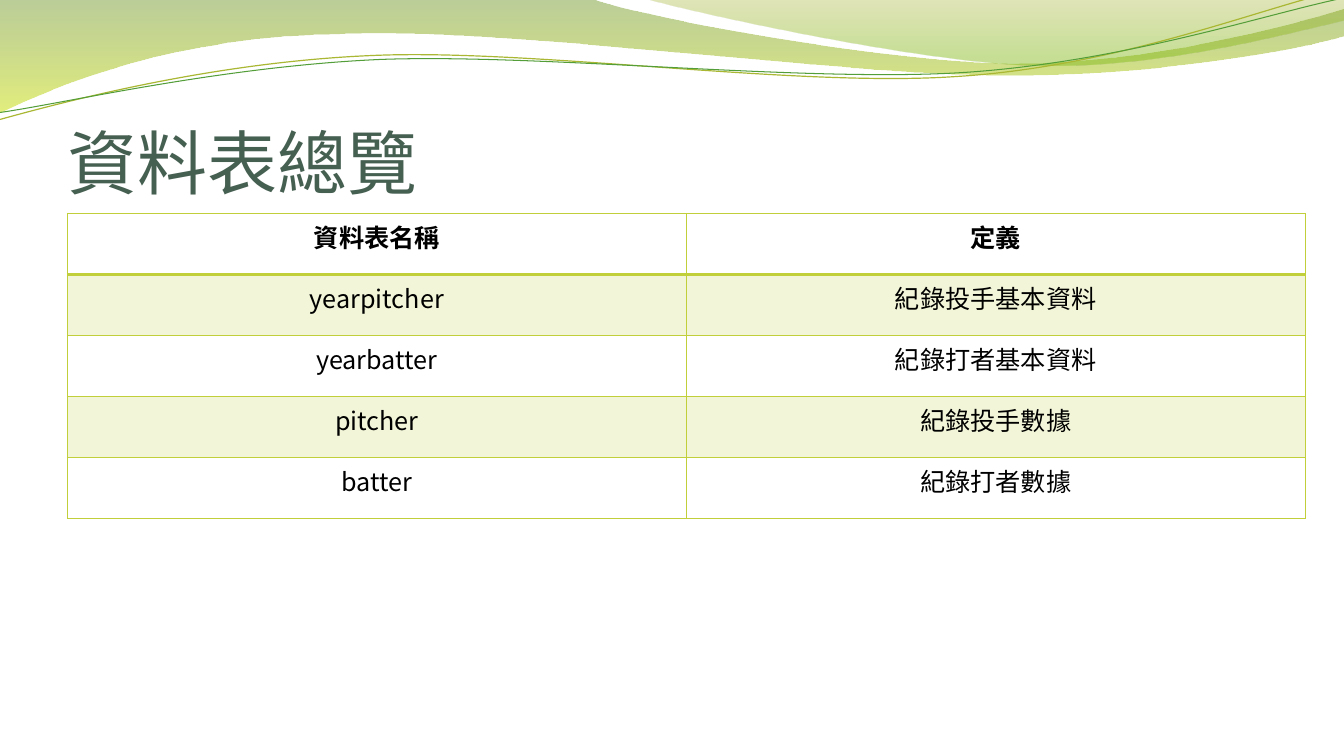
"""Build the table overview slide with its green wave header."""
import dataclasses
import math

import lxml.etree
import pptx
import pptx.dml.color
import pptx.enum.text
import pptx.oxml.ns
import pptx.util

Cm = pptx.util.Cm
Pt = pptx.util.Pt
qn = pptx.oxml.ns.qn

TITLE = "資料表總覽"
ROWS = [
    ("資料表名稱", "定義"),
    ("yearpitcher", "紀錄投手基本資料"),
    ("yearbatter", "紀錄打者基本資料"),
    ("pitcher", "紀錄投手數據"),
    ("batter", "紀錄打者數據"),
]


@dataclasses.dataclass(frozen=True)
class Theme:
    font: str = "Noto Sans CJK SC"
    title_size: int = 50
    table_size: int = 18
    title: str = "455F51"
    text: str = "000000"
    accent: str = "C0CF3A"
    band_opacity: int = 20
    left_wave: tuple = ((0, "69921C", 45), (1, "CCE10F", 55))
    right_wave: tuple = ((0, "9BAA1A", 30), (0.8, "81BA16", 45))
    olive_line: tuple = ("A9B733", 0.85)
    green_line: tuple = ("549E39", 0.75)


THEME = Theme()

WAVES = [
    (THEME.left_wave, [
        (0, 0), (14.91, -0.03),
        (16.1, 0.43, 22.45, 1.6, 25.68, 1.6),
        (28.88, 1.6, 32.44, 0.66, 33.86, 0.23),
        (33.88, 0.91),
        (33.3, 1.12, 29.44, 1.93, 25.25, 1.9),
        (21.06, 1.9, 12.93, 0.71, 8.71, 0.86),
        (4.37, 0.91, 1.55, 2.11, -0.05, 2.87),
    ]),
    (THEME.right_wave, [
        (16.21, -0.03),
        (17.25, 0.28, 23.09, 1.57, 26.04, 1.65),
        (29.21, 1.75, 32.56, 0.81, 33.86, 0.53),
        (33.86, 0),
    ]),
]
LINES = [
    (THEME.olive_line, (16.89, 1.46), [
        (-0.03, 3.02),
        (1.6, 2.57, 5.33, 1.57, 9.37, 1.4),
        (13.39, 1.22, 20.04, 2.21, 24.1, 1.93),
        (28.19, 1.68, 31.78, 0.2, 33.78, -0.25),
    ]),
    (THEME.green_line, (16.94, 1.5), [
        (-0.03, 2.84),
        (1.57, 2.62, 5.54, 1.68, 9.58, 1.5),
        (13.64, 1.35, 20.22, 2.08, 24.26, 1.83),
        (28.3, 1.57, 31.88, 0.36, 33.86, -0.05),
    ]),
]
LINE_TILT = -2.7


def rgb(color):
    return pptx.dml.color.RGBColor.from_string(color)


def set_opacity(color_element, percent):
    alpha = lxml.etree.SubElement(color_element, qn("a:alpha"))
    alpha.set("val", str(percent * 1000))


def turn(segment, center, degrees):
    cosine, sine = math.cos(math.radians(degrees)), math.sin(math.radians(degrees))
    turned = []
    for x, y in zip(segment[::2], segment[1::2]):
        across, down = x - center[0], y - center[1]
        turned += [center[0] + across * cosine - down * sine,
                   center[1] + across * sine + down * cosine]
    return tuple(turned)


def add_outline(header, segments, close):
    builder = header.shapes.build_freeform(*(Cm(value) for value in segments[0]))
    for segment in segments[1:]:
        lengths = [Cm(value) for value in segment]
        builder.add_line_segments(list(zip(lengths[::2], lengths[1::2])), close=False)
    shape = builder.convert_to_shape()
    outline = shape.element.find(".//" + qn("a:path"))
    steps = iter(outline.findall(qn("a:lnTo")))
    for segment in segments[1:]:
        step = next(steps)
        if len(segment) == 6:
            curve = lxml.etree.Element(qn("a:cubicBezTo"))
            step.addprevious(curve)
            for part in (step, next(steps), next(steps)):
                curve.append(part[0])
                outline.remove(part)
    if close:
        lxml.etree.SubElement(outline, qn("a:close"))
    shape.shadow.inherit = False
    return shape


def add_wave(header, stops, segments):
    shape = add_outline(header, segments, True)
    shape.line.fill.background()
    shape.fill.gradient()
    shape.fill.gradient_angle = 270
    for stop, (position, color, opacity) in zip(shape.fill.gradient_stops, stops):
        stop.position = position
        stop.color.rgb = rgb(color)
    colors = shape.element.iterfind(".//" + qn("a:gs") + "/" + qn("a:srgbClr"))
    for element, (position, color, opacity) in zip(colors, stops):
        set_opacity(element, opacity)


def add_line(header, style, center, segments):
    color, width = style
    level = [turn(segment, center, -LINE_TILT) for segment in segments]
    shape = add_outline(header, level, False)
    shape.rotation = LINE_TILT
    shape.fill.background()
    shape.line.color.rgb = rgb(color)
    shape.line.width = Pt(width)


def format_run(paragraph, size, color, bold=False):
    for run in paragraph.runs:
        run.font.size = Pt(size)
        run.font.bold = bold
        run.font.name = THEME.font
        run.font.color.rgb = rgb(color)
        east_asian = lxml.etree.SubElement(run.font._element, qn("a:ea"))
        east_asian.set("typeface", THEME.font)


def add_borders(cell, widths):
    properties = cell._tc.get_or_add_tcPr()
    for side, width in zip("LRTB", widths):
        line = lxml.etree.SubElement(properties, qn("a:ln" + side), w=str(Pt(width)))
        fill = lxml.etree.SubElement(line, qn("a:solidFill"))
        lxml.etree.SubElement(fill, qn("a:srgbClr"), val=THEME.accent)


def add_title(slide):
    title = slide.shapes.title
    title.left, title.top, title.width, title.height = Cm(1.7), Cm(1.96), Cm(30.48), Cm(3.18)
    frame = title.text_frame
    frame.text = TITLE
    frame.auto_size = pptx.enum.text.MSO_AUTO_SIZE.NONE
    frame.vertical_anchor = pptx.enum.text.MSO_ANCHOR.BOTTOM
    frame.margin_left = frame.margin_right = frame.margin_bottom = 0
    frame.margin_top = Cm(0.13)
    frame.paragraphs[0].alignment = pptx.enum.text.PP_ALIGN.LEFT
    format_run(frame.paragraphs[0], THEME.title_size, THEME.title)


def add_overview(slide):
    table = slide.shapes.add_table(
        len(ROWS), len(ROWS[0]), Cm(1.7), Cm(5.38), Cm(31.19), Cm(7.69)
    ).table
    table.first_row = table.horz_banding = False
    for row_index, row in enumerate(ROWS):
        for column_index, text in enumerate(row):
            cell = table.cell(row_index, column_index)
            add_borders(cell, (1, 1, 2 if row_index == 1 else 1, 2 if row_index == 0 else 1))
            if row_index % 2:
                cell.fill.solid()
                cell.fill.fore_color.rgb = rgb(THEME.accent)
                band = cell._tc.tcPr.find(qn("a:solidFill") + "/" + qn("a:srgbClr"))
                set_opacity(band, THEME.band_opacity)
            else:
                cell.fill.background()
            cell.text_frame.text = text
            paragraph = cell.text_frame.paragraphs[0]
            paragraph.alignment = pptx.enum.text.PP_ALIGN.CENTER
            format_run(paragraph, THEME.table_size, THEME.text, row_index == 0)


def main():
    presentation = pptx.Presentation()
    presentation.slide_width, presentation.slide_height = Cm(33.87), Cm(19.05)
    slide = presentation.slides.add_slide(presentation.slide_layouts[5])
    header = slide.shapes.add_group_shape()
    for stops, segments in WAVES:
        add_wave(header, stops, segments)
    for style, center, segments in LINES:
        add_line(header, style, center, segments)
    header.element.addnext(slide.shapes.title.element)
    add_title(slide)
    add_overview(slide)
    presentation.save("out.pptx")


if __name__ == "__main__":
    main()
